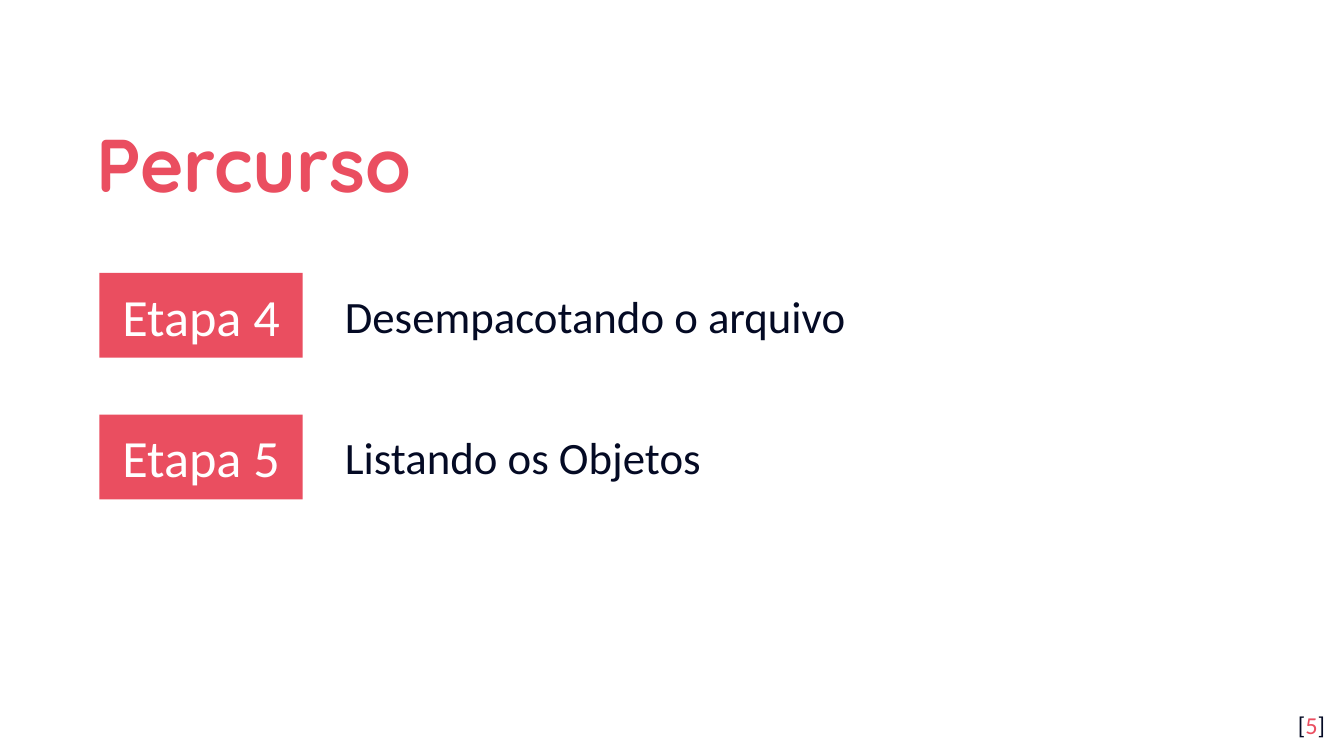
from dataclasses import dataclass

from pptx import Presentation
from pptx import util as u
from pptx.dml.color import RGBColor
from pptx.enum import shapes, text

CORAL, NAVY, WHITE = "EA4E60", "040A24", "FFFFFF"
FIRST_STEP_TOP, STEP_PITCH = 5.16, 2.68
HANGING_INDENT = u.Cm(1.27)


@dataclass
class Span:
    wording: str
    size: float
    color: str
    font: str = "Calibri"
    bold: bool = False


@dataclass
class Step:
    label: str
    description: str


STEPS = [
    Step("Etapa 4", "Desempacotando o arquivo"),
    Step("Etapa 5", "Listando os Objetos"),
]


def paint(color_format, color: str) -> None:
    color_format.rgb = RGBColor.from_string(color)


def write(box, spans: list[Span], align=text.PP_ALIGN.LEFT,
          anchor=text.MSO_ANCHOR.TOP, vertical_inset: float = 0.25):
    frame = box.text_frame
    frame.word_wrap = True
    frame.vertical_anchor = anchor
    frame.margin_left = frame.margin_right = u.Cm(0.25)
    frame.margin_top = frame.margin_bottom = u.Cm(vertical_inset)
    para = frame.paragraphs[0]
    para.alignment = align
    for span in spans:
        run = para.add_run()
        run.text = span.wording
        run.font.name = span.font
        run.font.size = u.Pt(span.size)
        run.font.bold = span.bold
        paint(run.font.color, span.color)
    return para


def add_text_box(page, left: float, top: float, width: float, height: float):
    return page.shapes.add_textbox(
        u.Cm(left), u.Cm(top), u.Cm(width), u.Cm(height))


def add_step(page, step: Step, top: float) -> None:
    badge = page.shapes.add_shape(
        shapes.MSO_SHAPE.RECTANGLE,
        u.Cm(1.88), u.Cm(top), u.Cm(3.84), u.Cm(1.6))
    badge.shadow.inherit = False
    badge.fill.solid()
    paint(badge.fill.fore_color, CORAL)
    badge.line.fill.background()
    write(badge, [Span(step.label, 28, WHITE)],
          text.PP_ALIGN.CENTER, text.MSO_ANCHOR.MIDDLE)

    description = add_text_box(page, 6.27, top + 0.16, 17.15, 1.27)
    para = write(description, [Span(step.description, 24, NAVY)],
                 vertical_inset=0.13)
    properties = para._p.get_or_add_pPr()
    properties.set("marL", str(HANGING_INDENT))
    properties.set("indent", str(-HANGING_INDENT))


def main() -> None:
    deck = Presentation()
    deck.slide_width, deck.slide_height = u.Cm(25.4), u.Cm(14.29)
    page = deck.slides.add_slide(deck.slide_layouts[6])
    page.background.fill.solid()
    paint(page.background.fill.fore_color, WHITE)

    title = write(add_text_box(page, 1.57, 1.78, 20.57, 2.34),
                  [Span("Percurso", 40, CORAL, "Quicksand", True)],
                  anchor=text.MSO_ANCHOR.MIDDLE)
    title.line_spacing = 1.15

    for index, step in enumerate(STEPS):
        add_step(page, step, FIRST_STEP_TOP + index * STEP_PITCH)

    write(add_text_box(page, 23.77, 13.18, 1.52, 1.09),
          [Span("[", 13, NAVY), Span("5", 13, CORAL), Span("]", 13, NAVY)],
          text.PP_ALIGN.RIGHT)
    deck.save("out.pptx")


if __name__ == "__main__":
    main()
